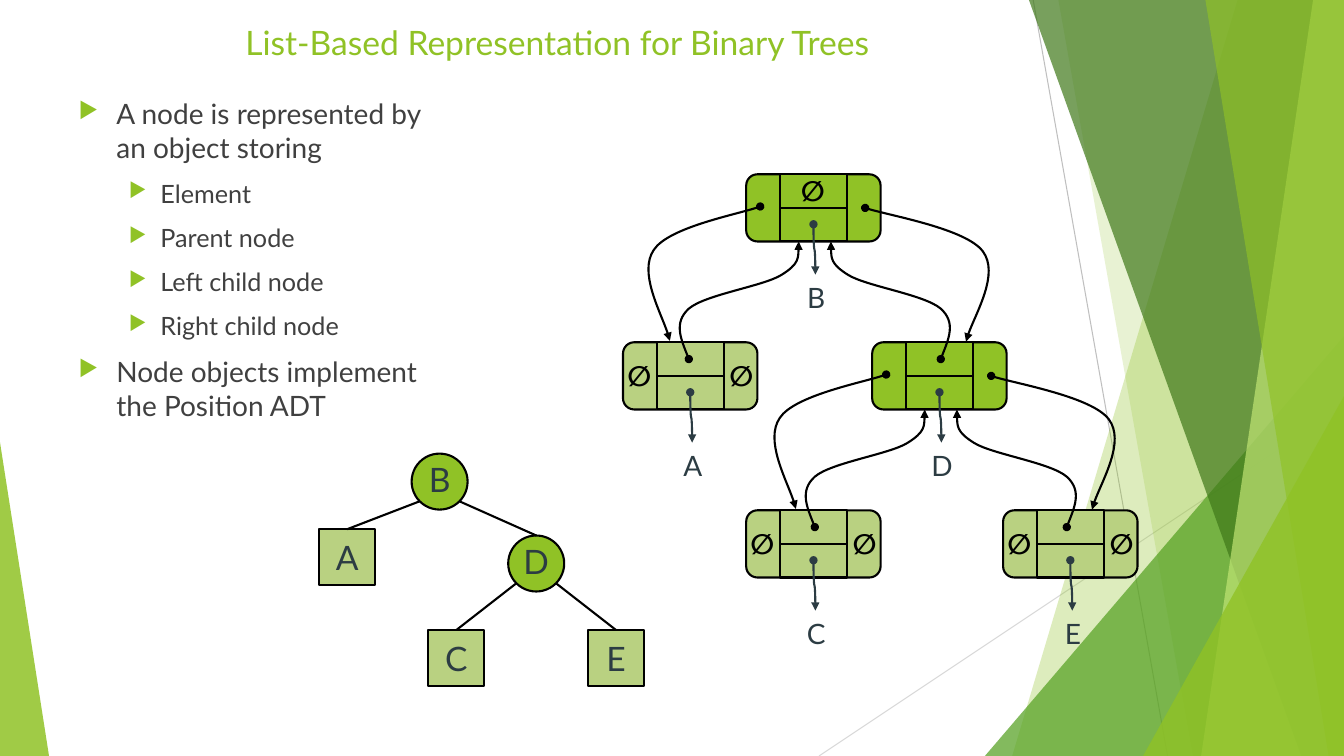
from dataclasses import dataclass

from lxml import etree
from pptx import Presentation
from pptx.dml.color import RGBColor
from pptx.enum.shapes import MSO_CONNECTOR, MSO_SHAPE
from pptx.enum.text import MSO_ANCHOR, MSO_AUTO_SIZE, PP_ALIGN
from pptx.oxml.ns import qn
from pptx.util import Pt

STRAIGHT, CURVE = MSO_CONNECTOR.STRAIGHT, MSO_CONNECTOR.CURVE
RECT, ROUND_RECT = MSO_SHAPE.RECTANGLE, MSO_SHAPE.ROUNDED_RECTANGLE
OVAL, TRIANGLE = MSO_SHAPE.OVAL, MSO_SHAPE.ISOSCELES_TRIANGLE
TOP, MIDDLE = MSO_ANCHOR.TOP, MSO_ANCHOR.MIDDLE
LEFT, CENTER = PP_ALIGN.LEFT, PP_ALIGN.CENTER
NO_FIT = MSO_AUTO_SIZE.NONE
TITLE_ONLY = 5
WIDTH, HEIGHT = 960, 540


@dataclass(frozen=True)
class Theme:
    font: str = "Lato"
    green: str = "90C226"
    pale: str = "B9D181"
    mid: str = "54A021"
    deep: str = "3F7819"
    lime: str = "C0E474"
    ink: str = "2C3C43"
    body: str = "404040"
    black: str = "000000"
    guide: str = "BFBFBF"
    light_guide: str = "D9D9D9"
    heading: int = 24
    text: int = 20
    subtext: int = 18
    stroke: float = 1.5
    hairline: float = 0.75


class TreeSlide:
    def __init__(self, slide, theme):
        self.slide, self.shapes, self.theme = slide, slide.shapes, theme

    def add_words(self, paragraph, words, size, color, align=CENTER, bold=False):
        paragraph.alignment = align
        run = paragraph.add_run()
        run.text = words
        run.font.name, run.font.size, run.font.bold = self.theme.font, Pt(size), bold
        run.font.color.rgb = RGBColor.from_string(color)

    def paint(self, shape, color, opacity=None):
        """Fill a shape; with an opacity it has no outline."""
        shape.shadow.inherit = False
        shape.fill.solid()
        shape.fill.fore_color.rgb = RGBColor.from_string(color)
        if opacity is None:
            self.stroke(shape.line)
            return
        shape.line.fill.background()
        tone = shape._element.spPr.find(".//" + qn("a:srgbClr"))
        etree.SubElement(tone, qn("a:alpha"), val=str(opacity * 1000))

    def stroke(self, line, color=None, width=None, pointer=False):
        line.color.rgb = RGBColor.from_string(color or self.theme.black)
        line.width = Pt(width or self.theme.stroke)
        if pointer:
            ln = line._get_or_add_ln()
            etree.SubElement(ln, qn("a:headEnd"), type="oval")
            etree.SubElement(ln, qn("a:tailEnd"), type="triangle")

    def title(self, words, x, y, w, h):
        holder = self.shapes.title
        holder.left, holder.top, holder.width, holder.height = map(Pt, (x, y, w, h))
        frame = holder.text_frame
        frame.vertical_anchor, frame.auto_size = TOP, NO_FIT
        self.add_words(frame.paragraphs[0], words, self.theme.heading, self.theme.green, LEFT)

    def bullets(self, items, x, y, w, h):
        frame = self.shapes.add_textbox(*map(Pt, (x, y, w, h))).text_frame
        frame.word_wrap = True
        for index, (level, words) in enumerate(items):
            paragraph = frame.add_paragraph() if index else frame.paragraphs[0]
            indent, hanging, size = ((27, 27, self.theme.text),
                                     (58.5, 22.5, self.theme.subtext))[level]
            paragraph.level = level
            props = paragraph._p.get_or_add_pPr()
            props.set("marL", str(Pt(indent)))
            props.set("indent", str(-Pt(hanging)))
            tint = etree.SubElement(props, qn("a:buClr"))
            etree.SubElement(tint, qn("a:srgbClr"), val=self.theme.green)
            etree.SubElement(props, qn("a:buSzPct"), val="80000")
            etree.SubElement(props, qn("a:buChar"), char="▶")
            paragraph.space_before = Pt(10 if index else 0)
            self.add_words(paragraph, words, size, self.theme.body, LEFT)

    def label(self, words, center, y, color, bold=False):
        box = self.shapes.add_textbox(Pt(center - 15), Pt(y), Pt(30), Pt(32))
        box.text_frame.word_wrap = False
        self.add_words(box.text_frame.paragraphs[0], words, self.theme.text, color, bold=bold)

    def block(self, kind, x, y, w, h, color, opacity=None, adjust=None):
        shape = self.shapes.add_shape(kind, *map(Pt, (x, y, w, h)))
        if adjust is not None:
            shape.adjustments[0] = adjust
        self.paint(shape, color, opacity)
        return shape

    def connector(self, start, end, color=None, width=None, kind=STRAIGHT, pointer=False):
        link = self.shapes.add_connector(kind, *map(Pt, (*start, *end)))
        self.stroke(link.line, color, width, pointer)
        etree.SubElement(link._element.spPr, qn("a:effectLst"))
        return link

    def outline(self, points, close):
        first, *rest = [(Pt(x), Pt(y)) for x, y in points]
        builder = self.shapes.build_freeform(*first)
        builder.add_line_segments(rest, close=close)
        return builder.convert_to_shape()

    def facet(self, top, bottom, color, opacity):
        corners = [(top, 0), (WIDTH, 0), (WIDTH, HEIGHT), (bottom, HEIGHT)]
        self.paint(self.outline(corners, True), color, opacity)

    def bezier(self, points):
        """Draw a pointer through a start point and triples of cubic control points."""
        shape = self.outline(points, False)
        shape.shadow.inherit = False
        shape.fill.background()
        self.stroke(shape.line, pointer=True)
        track = shape._element.spPr.find(".//" + qn("a:path"))
        steps = track.findall(qn("a:lnTo"))
        for i in range(0, len(steps), 3):
            cubic = etree.SubElement(track, qn("a:cubicBezTo"))
            for step in steps[i:i + 3]:
                cubic.append(step[0])
                track.remove(step)

    def tree_node(self, name, x, y, internal):
        color = self.theme.green if internal else self.theme.pale
        node = self.block(OVAL if internal else RECT, x, y, 40, 40, color)
        frame = node.text_frame
        frame.margin_left = frame.margin_right = frame.margin_top = 0
        frame.margin_bottom = Pt(3.6 if internal else 0)
        frame.word_wrap, frame.vertical_anchor = False, MIDDLE
        self.add_words(frame.paragraphs[0], name, self.theme.heading, self.theme.ink)
        return node

    def record(self, name, x, y, internal):
        """Draw a node object: left link, parent over element, right link."""
        color = self.theme.green if internal else self.theme.pale
        body = self.block(ROUND_RECT, x, y, 96, 48, color, adjust=0.167)
        cell = self.block(RECT, x + 24, y, 48, 48, color)
        divider = self.connector((x + 24, y + 24), (x + 72, y + 24))
        divider.begin_connect(cell, 1)
        divider.end_connect(cell, 3)
        self.shapes.add_group_shape([body, cell, divider])
        if not internal:
            for center in (x + 11, x + 84):
                self.label("∅", center, y + 8, self.theme.black, True)
        self.label(name, x + 50, y + 72, self.theme.ink)
        # A quarter turn makes the S-curve leave and arrive vertically.
        element = self.connector((x + 66.7, y + 53), (x + 30.7, y + 54.4),
                                 self.theme.ink, kind=CURVE, pointer=True)
        element._element.spPr.find(qn("a:xfrm")).set("rot", "16200000")


TO_PARENT = [(-41, 132), (-46, 119), (-52, 106), (-41, 96), (-29.5, 86),
             (12, 80), (25, 72), (38, 64), (37.5, 56), (37.5, 48)]
TO_LEFT = [(10, 23), (-3, 28), (-55.5, 38), (-66, 54), (-77, 70), (-57.5, 105), (-54.5, 119)]
TO_RIGHT = [(85, 24), (99.5, 29), (157, 39), (169, 55), (181, 71), (160, 106), (157, 119.5)]
LINKS = [TO_PARENT, [(98 - x, y) for x, y in TO_PARENT], TO_LEFT, TO_RIGHT]

INTERNAL = "BD"
TREE = {"B": (294, 324), "D": (363, 382.5), "A": (228, 378), "C": (306, 450), "E": (420, 450)}
EDGES = [("E", "D", 1), ("C", "D", -1), ("A", "B", -1), ("D", "B", 1)]
RECORDS = {"B": (533, 124.5), "A": (445, 244.5), "D": (623, 244.5),
           "C": (533, 364.5), "E": (716.5, 364.5)}
BULLETS = [(0, "A node is represented by an object storing"), (1, "Element"),
           (1, "Parent node"), (1, "Left child node"), (1, "Right child node"),
           (0, "Node objects implement the Position ADT")]


def main():
    deck = Presentation()
    deck.slide_width, deck.slide_height = Pt(WIDTH), Pt(HEIGHT)
    theme = Theme()
    page = TreeSlide(deck.slides.add_slide(deck.slide_layouts[TITLE_ONLY]), theme)

    page.connector((738, 0), (834, HEIGHT), theme.guide, theme.hairline)
    page.connector((WIDTH, 290), (585, HEIGHT), theme.light_guide, theme.hairline)
    page.facet(884, 723, theme.green, 30)
    page.facet(756, 852, theme.green, 20)
    page.block(TRIANGLE, 703.5, 240, 256.5, 300, theme.mid, 72, 1)
    page.facet(735, 929.5, theme.deep, 70)
    page.facet(938, 858, theme.lime, 70)
    page.facet(861, 949, theme.green, 65)
    page.block(TRIANGLE, 816.5, 283, 143.5, 257, theme.green, 80, 1)
    page.block(TRIANGLE, 0, 316, 35, 224, theme.green, 85, 0)

    page.title("List-Based Representation for Binary Trees", 168, 12, 636, 60)
    page.bullets(BULLETS, 49, 65.5, 270, 228)

    nodes = {name: page.tree_node(name, *at, name in INTERNAL) for name, at in TREE.items()}
    for child, parent, side in EDGES:
        x, y = TREE[parent]
        edge = page.connector(TREE[child], (x + 20 + 14 * side, y + 34))
        edge.begin_connect(nodes[child], 0)

    for name, at in RECORDS.items():
        page.record(name, *at, name in INTERNAL)
    for parent in INTERNAL:
        left, top = RECORDS[parent]
        for link in LINKS:
            page.bezier([(left + x, top + y) for x, y in link])
    root_x, root_y = RECORDS["B"]
    page.label("∅", root_x + 47, root_y - 4, theme.black, True)
    deck.save("out.pptx")


if __name__ == "__main__":
    main()
